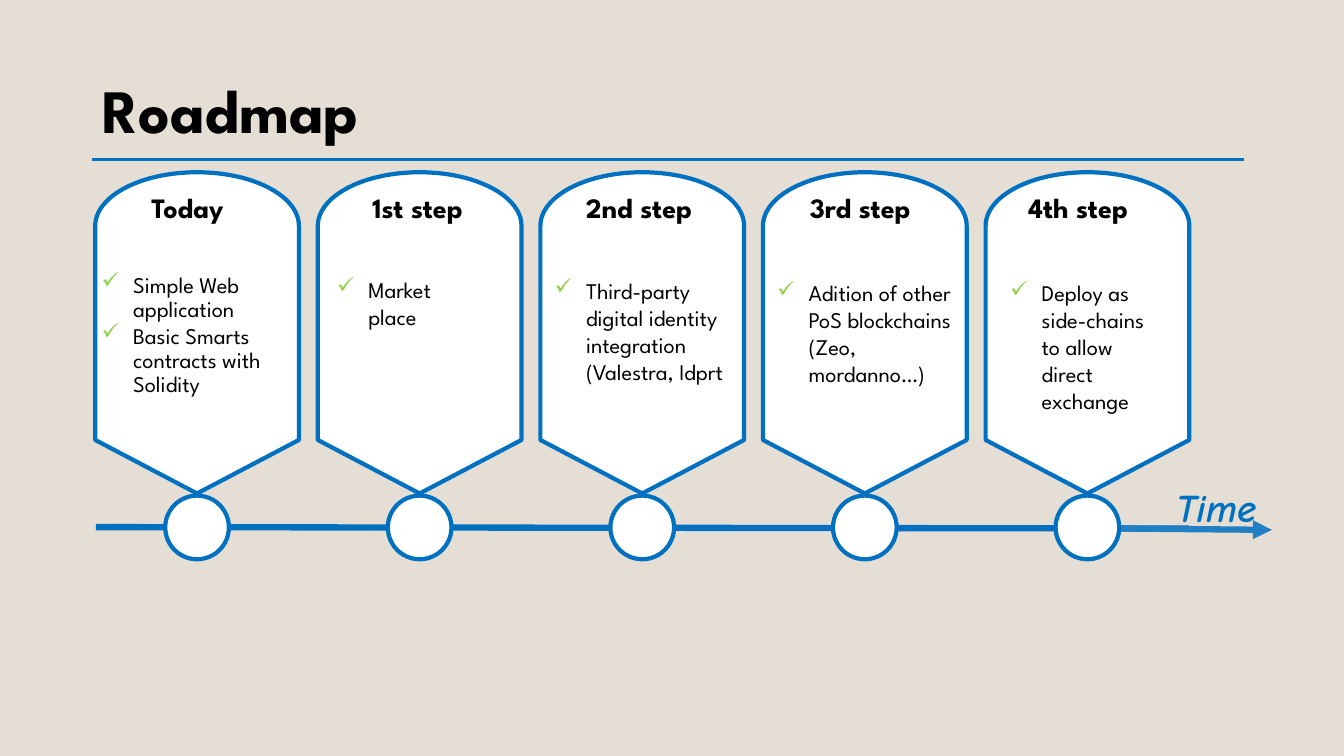
from dataclasses import dataclass
from lxml.etree import SubElement
from pptx import Presentation
from pptx.dml.color import RGBColor
from pptx.enum.shapes import MSO_CONNECTOR, MSO_SHAPE
from pptx.enum.text import MSO_ANCHOR
from pptx.oxml.ns import qn
from pptx.util import Pt


@dataclass(frozen=True)
class Theme:
    background: str = "E5DED5"
    blue: str = "0070C0"
    arrow_blue: str = "2180C3"
    white: str = "FFFFFF"
    black: str = "000000"
    check_green: str = "92D050"
    font: str = "League Spartan"
    time_font: str = "Comic Neue"
    title_size: int = 44
    heading_size: int = 20
    body_size: int = 16
    time_size: int = 28


theme = Theme()
title_format = {"name": theme.font, "size": Pt(theme.title_size), "bold": True}
heading_format = {"name": theme.font, "size": Pt(theme.heading_size), "bold": True}
body_format = {"name": theme.font, "size": Pt(theme.body_size)}
time_format = {"name": theme.time_font, "size": Pt(theme.time_size), "bold": True, "italic": True}

presentation = Presentation()
presentation.slide_width, presentation.slide_height = Pt(960), Pt(540)
slide = presentation.slides.add_slide(presentation.slide_layouts[6])
slide.background.fill.solid()
slide.background.fill.fore_color.rgb = RGBColor.from_string(theme.background)


def add_text(box, texts, font_format, color=theme.black, paragraph_format=None, anchor=MSO_ANCHOR.TOP):
    """Add a wrapped text box and return its paragraphs."""
    frame = slide.shapes.add_textbox(*map(Pt, box)).text_frame
    frame.word_wrap = True
    frame.vertical_anchor = anchor
    frame.text = "\n".join(texts)
    for paragraph in frame.paragraphs:
        for name, value in (paragraph_format or {}).items():
            setattr(paragraph, name, value)
        font = paragraph.runs[0].font
        for name, value in font_format.items():
            setattr(font, name, value)
        font.color.rgb = RGBColor.from_string(color)
    return frame.paragraphs


def add_outlined(kind, box):
    """Add a white preset shape with a blue outline."""
    shape = slide.shapes.add_shape(kind, *map(Pt, box))
    shape.shadow.inherit = False
    shape.fill.solid()
    shape.fill.fore_color.rgb = RGBColor.from_string(theme.white)
    shape.line.color.rgb = RGBColor.from_string(theme.blue)
    shape.line.width = Pt(3)
    return shape


# Title
add_text((66, 29, 828, 104), ["Roadmap"], title_format,
         paragraph_format={"line_spacing": 0.9}, anchor=MSO_ANCHOR.MIDDLE)

# Title rule, time axis and its arrow
lines = [
    ((66, 114, 888.5, 114), theme.blue, 2.25),
    ((68.5, 376.5, 849, 377.5), theme.blue, 4.5),
    ((799, 377.5, 908.5, 378.5), theme.arrow_blue, 4.5),
]
for ends, color, width in lines:
    connector = slide.shapes.add_connector(MSO_CONNECTOR.STRAIGHT, *map(Pt, ends))
    connector.line.color.rgb = RGBColor.from_string(color)
    connector.line.width = Pt(width)
    properties = connector._element.spPr
    SubElement(properties, qn("a:effectLst"))
SubElement(properties.find(qn("a:ln")), qn("a:tailEnd"), type="triangle")

# Steps: heading, heading left, body box, body items
steps = [
    ("Today", 101, (65.5, 192, 150.5, 97),
     ["Simple Web application", "Basic Smarts contracts with Solidity"]),
    ("1st step", 259, (233.5, 193.5, 111, 46), ["Market place"]),
    ("2nd step", 411.5, (389, 194.5, 145.5, 124),
     ["Third-party digital identity integration (Valestra, Idprt"]),
    ("3rd step", 571.5, (548, 196, 142.5, 104),
     ["Adition of other PoS blockchains (Zeo, mordanno…)"]),
    ("4th step", 727.5, (714.5, 196, 125, 104),
     ["Deploy as side-chains to allow direct exchange"]),
]
step_pitch = 159
compact = {"line_spacing": 0.9, "space_after": Pt(2)}
for index, (heading, heading_left, body_box, items) in enumerate(steps):
    offset = index * step_pitch
    add_outlined(MSO_SHAPE.OVAL, (118 + offset, 354, 45.5, 45.5))
    flag = add_outlined(MSO_SHAPE.FLOWCHART_DISPLAY, (26 + offset, 165, 229.5, 145.5))
    flag.rotation = 270
    add_text((heading_left, 132.5, 111, 31.5), [heading], heading_format)

    # Check-marked items
    spacing = compact if len(items) > 1 else None
    for paragraph in add_text(body_box, items, body_format, paragraph_format=spacing):
        bullet = paragraph._p.get_or_add_pPr()
        bullet.set("marL", str(Pt(22.5)))
        bullet.set("indent", str(Pt(-22.5)))
        SubElement(SubElement(bullet, qn("a:buClr")), qn("a:srgbClr"), val=theme.check_green)
        SubElement(bullet, qn("a:buChar"), char="✓")

# Axis label
add_text((833, 342, 82, 41), ["Time"], time_format, theme.blue)

presentation.save("out.pptx")
